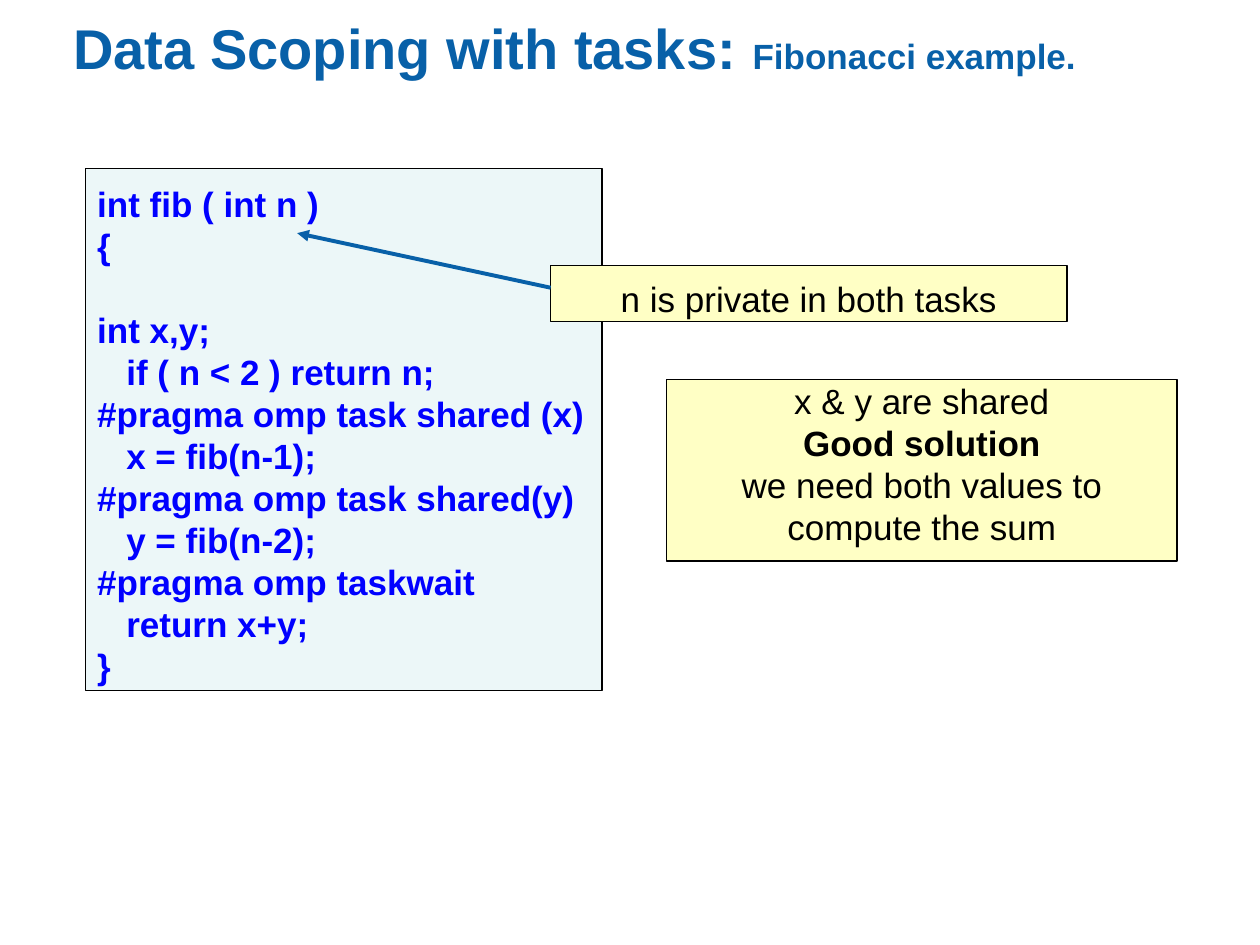
import pptx
import pptx.dml.color
import pptx.enum.shapes
import pptx.enum.text
import pptx.oxml.ns
import pptx.util
from lxml import etree

Cm = pptx.util.Cm
Pt = pptx.util.Pt
RGBColor = pptx.dml.color.RGBColor
Align = pptx.enum.text.PP_ALIGN

BLUE = RGBColor(0x08, 0x60, 0xA8)
CODE_BLUE = RGBColor(0x00, 0x00, 0xFF)
BLACK = RGBColor(0x00, 0x00, 0x00)
PALE_CYAN = RGBColor(0xEC, 0xF7, 0xF8)
PALE_YELLOW = RGBColor(0xFF, 0xFF, 0xC5)

CODE = [
    "int fib ( int n )",
    "{",
    "int x,y;",
    "   if ( n < 2 ) return n;",
    "#pragma omp task shared (x)",
    "   x = fib(n-1);",
    "#pragma omp task shared(y)",
    "   y = fib(n-2);",
    "#pragma omp taskwait",
    "   return x+y;",
    "}",
]


def add_text(para, text, size=20, color=BLACK, bold=False):
    span = para.add_run()
    span.text = text
    span.font.name = "Arial"
    span.font.size = Pt(size)
    span.font.bold = bold
    span.font.color.rgb = color


class SlideBuilder:
    line_width = Pt(0.75)
    line_spacing = Pt(24)

    def __init__(self, deck):
        self.page = deck.slides.add_slide(deck.slide_layouts[5])

    def set_frame(self, shape, side=0, top=0, wrap=True):
        frame = shape.text_frame
        frame.word_wrap = wrap
        frame.auto_size = pptx.enum.text.MSO_AUTO_SIZE.NONE
        frame.vertical_anchor = pptx.enum.text.MSO_ANCHOR.TOP
        frame.margin_left = frame.margin_right = Cm(side)
        frame.margin_top, frame.margin_bottom = Cm(top), 0
        return frame

    def title(self, left, top, width, height, spans):
        title = self.page.shapes.title
        title.left, title.top = Cm(left), Cm(top)
        title.width, title.height = Cm(width), Cm(height)
        para = self.set_frame(title).paragraphs[0]
        para.alignment = Align.LEFT
        for text, size in spans:
            add_text(para, text, size=size, color=BLUE, bold=True)

    def box(self, left, top, width, height, fill, lines, side=0, inset_top=0,
            align=Align.CENTER, color=BLACK, bold_lines=(), gap_before=(), wrap=True):
        box = self.page.shapes.add_shape(
            pptx.enum.shapes.MSO_SHAPE.RECTANGLE,
            Cm(left), Cm(top), Cm(width), Cm(height))
        box.shadow.inherit = False
        box.fill.solid()
        box.fill.fore_color.rgb = fill
        box.line.color.rgb = BLACK
        box.line.width = self.line_width
        frame = self.set_frame(box, side, inset_top, wrap)
        for index, line in enumerate(lines):
            para = frame.add_paragraph() if index else frame.paragraphs[0]
            para.alignment = align
            para.line_spacing = self.line_spacing
            if line in gap_before:
                para.space_before = self.line_spacing
            add_text(para, line, color=color, bold=line in bold_lines)

    def arrow(self, start, end):
        arrow = self.page.shapes.add_connector(
            pptx.enum.shapes.MSO_CONNECTOR.STRAIGHT,
            *(Cm(value) for value in start + end))
        arrow.line.color.rgb = BLUE
        arrow.line.width = Pt(2.25)
        qn = pptx.oxml.ns.qn
        etree.SubElement(arrow.line._get_or_add_ln(), qn("a:tailEnd"), type="triangle")
        etree.SubElement(arrow._element.spPr, qn("a:effectLst"))


def main():
    deck = pptx.Presentation()
    deck.slide_width, deck.slide_height = Cm(25.4), Cm(19.05)
    slide = SlideBuilder(deck)
    slide.title(1.48, 0.27, 22, 1.3,
                [("Data Scoping with tasks: ", 32), ("Fibonacci example.", 20)])
    slide.box(1.73, 3.4, 10.41, 10.52, PALE_CYAN, CODE, side=0.23, inset_top=0.27,
              align=Align.LEFT, color=CODE_BLUE, bold_lines=CODE,
              gap_before=["int x,y;"], wrap=False)
    slide.box(11.1, 5.36, 10.41, 1.12, PALE_YELLOW,
              ["n is private in both tasks"], inset_top=0.23)
    slide.arrow((11.1, 5.8), (5.99, 4.7))
    slide.box(13.44, 7.65, 10.29, 3.66, PALE_YELLOW,
              ["x & y are shared", "Good solution",
               "we need both values to compute the sum"],
              side=0.75, bold_lines=["Good solution"])
    deck.save("out.pptx")


if __name__ == "__main__":
    main()
